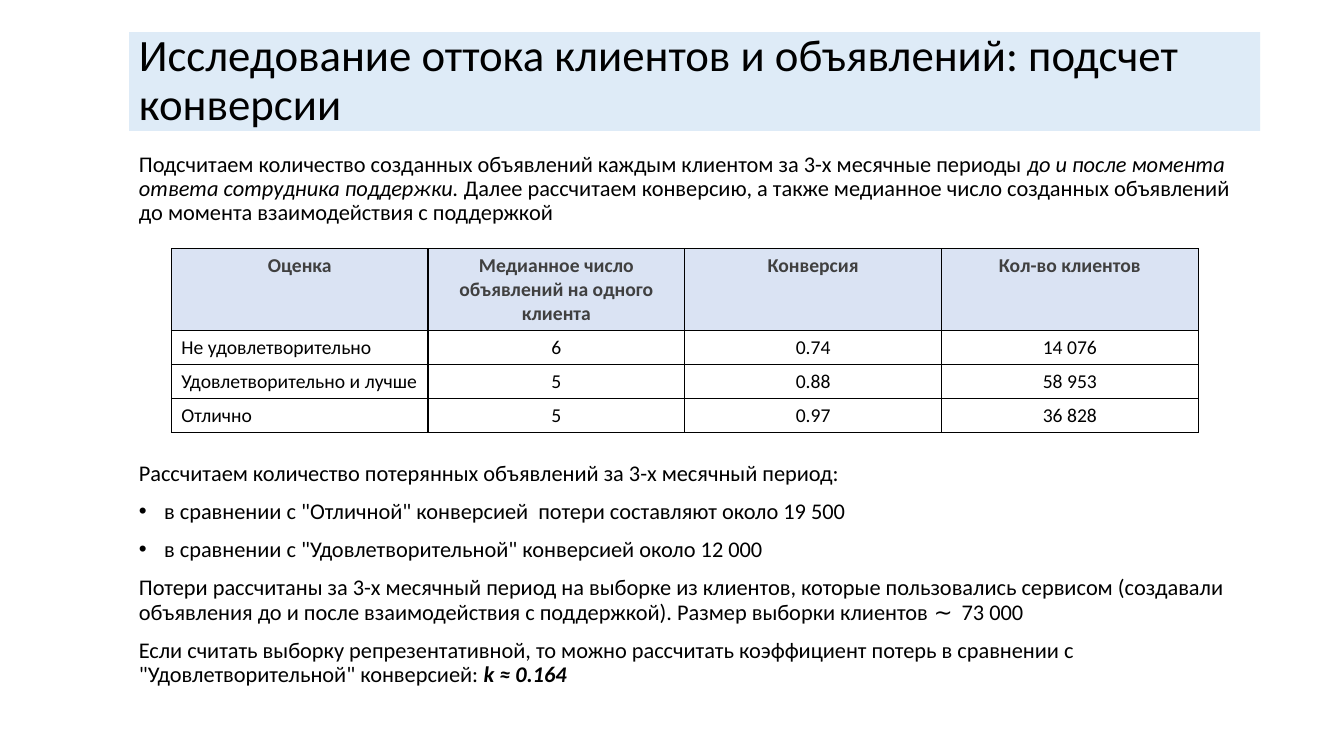
from lxml import etree
from pptx import Presentation
from pptx.dml.color import RGBColor
from pptx.enum import shapes, text
from pptx.oxml import ns
from pptx.util import Pt

FONT = "Calibri"
BLACK = "000000"
LEFT = 92.2
BODY_WIDTH = 795
CENTER = text.PP_ALIGN.CENTER
MIDDLE = text.MSO_ANCHOR.MIDDLE

INTRO = [
    (False, [
        ("Подсчитаем количество созданных объявлений каждым клиентом за 3-х месячные периоды ", ""),
        ("до и после момента ответа сотрудника поддержки. ", "i"),
        ("Далее рассчитаем конверсию, а также медианное число созданных объявлений "
         "до момента взаимодействия с поддержкой", ""),
    ]),
]
CONCLUSIONS = [
    (False, [("Рассчитаем количество потерянных объявлений за 3-х месячный период:", "")]),
    (True, [('в сравнении с "Отличной" конверсией  потери составляют около 19 500', "")]),
    (True, [('в сравнении с "Удовлетворительной" конверсией около 12 000', "")]),
    (False, [("Потери рассчитаны за 3-х месячный период на выборке из клиентов, которые "
              "пользовались сервисом (создавали объявления до и после взаимодействия с "
              "поддержкой). Размер выборки клиентов ∼  73 000", "")]),
    (False, [
        ("Если считать выборку репрезентативной, то можно рассчитать коэффициент потерь "
         'в сравнении с "Удовлетворительной" конверсией: ', ""),
        ("k ≈ 0.164", "bi"),
    ]),
]
RATINGS = [
    ["Оценка", "Медианное число объявлений на одного клиента", "Конверсия", "Кол-во клиентов"],
    ["Не удовлетворительно", "6", "0.74", "14 076"],
    ["Удовлетворительно и лучше", "5", "0.88", "58 953"],
    ["Отлично", "5", "0.97", "36 828"],
]


def color(value):
    return RGBColor.from_string(value)


def add_run(paragraph, words, size, fill=BLACK, style=""):
    """Add a run; style holds "b" for bold and "i" for italic."""
    run = paragraph.add_run()
    run.text = words
    run.font.name = FONT
    run.font.size = Pt(size)
    run.font.color.rgb = color(fill)
    run.font.bold = "b" in style
    run.font.italic = "i" in style


def add_bullet(paragraph):
    properties = paragraph._p.get_or_add_pPr()
    properties.set("marL", str(Pt(18)))
    properties.set("indent", str(Pt(-18)))
    etree.SubElement(properties, ns.qn("a:buFont"), typeface="Arial")
    etree.SubElement(properties, ns.qn("a:buChar"), char="•")


def add_borders(cell):
    properties = cell._tc.get_or_add_tcPr()
    for index, side in enumerate(("lnL", "lnR", "lnT", "lnB")):
        line = etree.Element(ns.qn(f"a:{side}"), w=str(Pt(1)))
        fill = etree.SubElement(line, ns.qn("a:solidFill"))
        etree.SubElement(fill, ns.qn("a:srgbClr"), val=BLACK)
        properties.insert(index, line)


def add_title(slide, left, top, width, height):
    shape = slide.shapes.add_shape(
        shapes.MSO_SHAPE.RECTANGLE, Pt(left), Pt(top), Pt(width), Pt(height))
    shape.shadow.inherit = False
    shape.fill.solid()
    shape.fill.fore_color.rgb = color("DEEBF7")
    shape.line.fill.background()
    shape.text_frame.word_wrap = True
    shape.text_frame.vertical_anchor = MIDDLE
    paragraph = shape.text_frame.paragraphs[0]
    paragraph.alignment = text.PP_ALIGN.LEFT
    paragraph.line_spacing = 0.9
    add_run(paragraph, "Исследование оттока клиентов и объявлений: подсчет конверсии", 32)


def add_body(slide, paragraphs, left, top, width, height):
    frame = slide.shapes.add_textbox(Pt(left), Pt(top), Pt(width), Pt(height)).text_frame
    frame.word_wrap = True
    frame.vertical_anchor = MIDDLE
    for index, (bulleted, runs) in enumerate(paragraphs):
        paragraph = frame.add_paragraph() if index else frame.paragraphs[0]
        paragraph.line_spacing = 0.9
        if index:
            paragraph.space_before = Pt(10)
        if bulleted:
            add_bullet(paragraph)
        for words, style in runs:
            add_run(paragraph, words, 16, style=style)


def add_ratings_table(slide, left, top, width, header_height, row_height):
    rows, columns = len(RATINGS), len(RATINGS[0])
    height = header_height + (rows - 1) * row_height
    table = slide.shapes.add_table(
        rows, columns, Pt(left), Pt(top), Pt(width), Pt(height)).table
    for row_index, values in enumerate(RATINGS):
        header = row_index == 0
        table.rows[row_index].height = Pt(header_height if header else row_height)
        for column_index, value in enumerate(values):
            cell = table.cell(row_index, column_index)
            cell.fill.solid()
            cell.fill.fore_color.rgb = color("DAE3F3" if header else "FFFFFF")
            add_borders(cell)
            paragraph = cell.text_frame.paragraphs[0]
            if header or column_index:
                paragraph.alignment = CENTER
            if not header and column_index:
                cell.vertical_anchor = MIDDLE
            add_run(paragraph, value, 14, "404040" if header else BLACK, "b" if header else "")


def main():
    presentation = Presentation()
    presentation.slide_width = Pt(960)
    presentation.slide_height = Pt(540)
    slide = presentation.slides.add_slide(presentation.slide_layouts[6])
    add_title(slide, LEFT, 23, 808, 70.5)
    add_body(slide, INTRO, LEFT, 93.6, BODY_WIDTH, 83.5)
    add_body(slide, CONCLUSIONS, LEFT, 329.8, BODY_WIDTH, 161.3)
    add_ratings_table(slide, 122.4, 177.6, 733.6, 58.6, 24.3)
    presentation.save("out.pptx")


if __name__ == "__main__":
    main()
